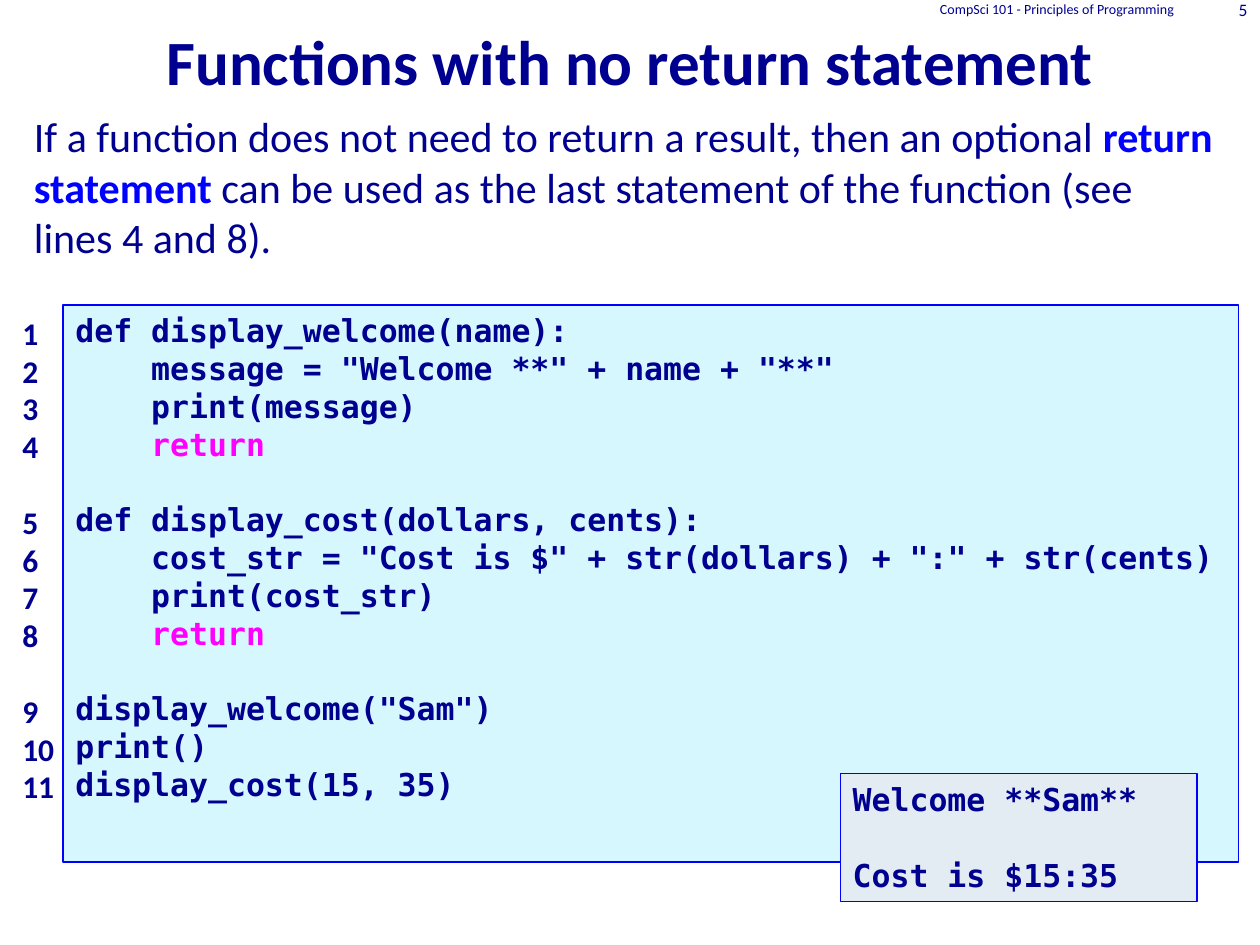
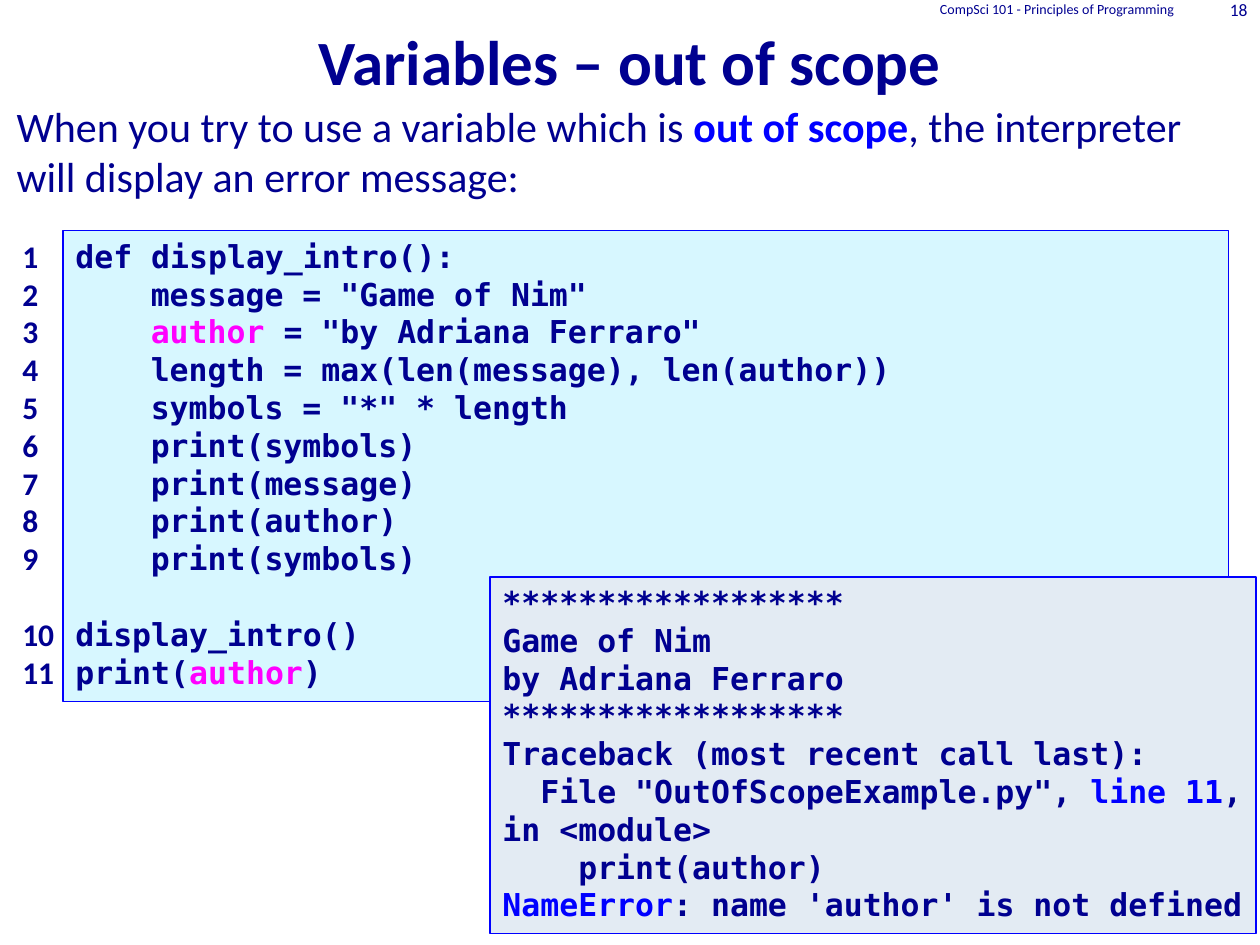
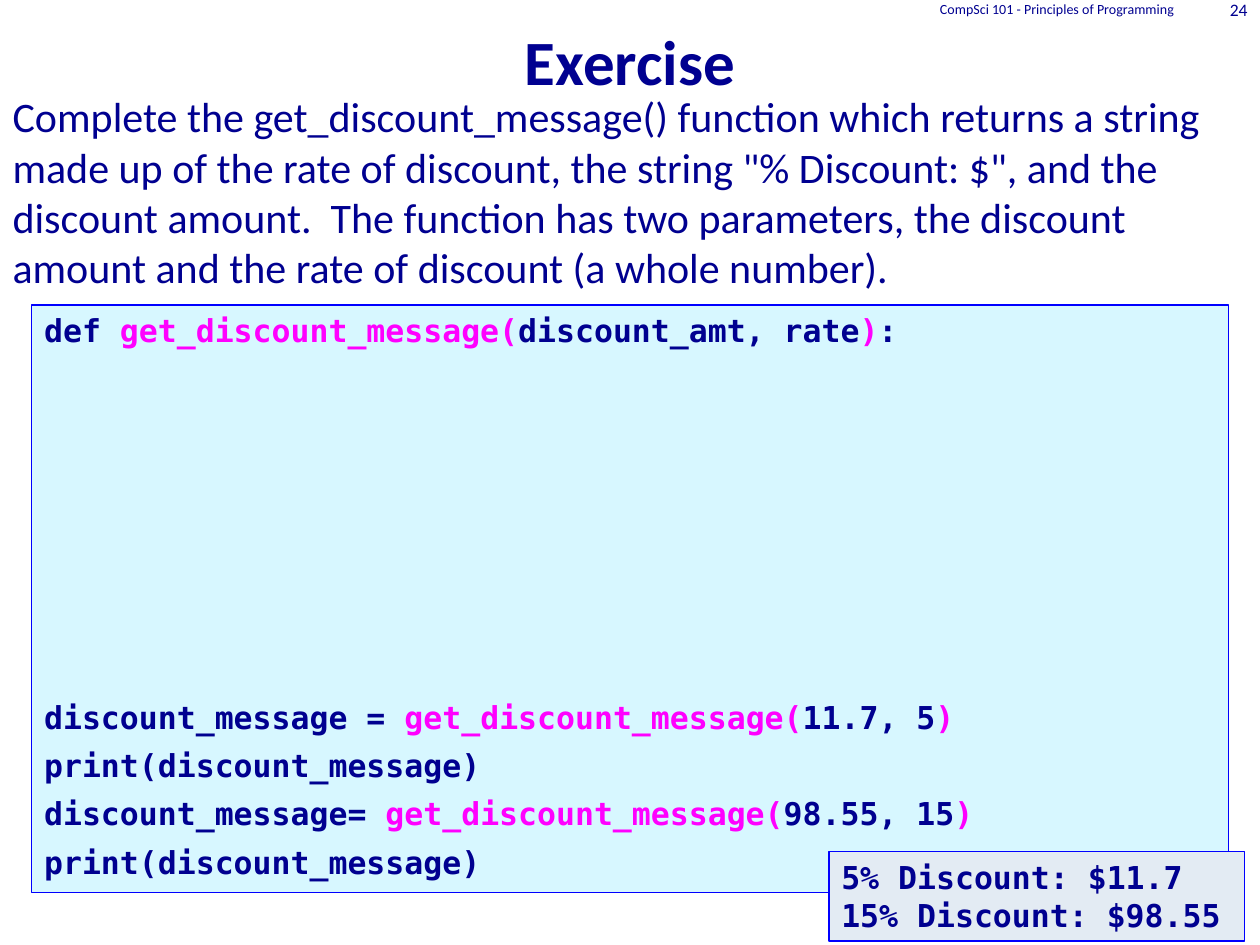
from pptx import Presentation
from pptx.dml.color import RGBColor
from pptx.enum.shapes import MSO_SHAPE
from pptx.enum.text import MSO_ANCHOR, MSO_AUTO_SIZE, PP_ALIGN
from pptx.oxml.ns import qn
from pptx.util import Cm, Pt

RECT = MSO_SHAPE.RECTANGLE
TOP, MIDDLE, BOTTOM = MSO_ANCHOR.TOP, MSO_ANCHOR.MIDDLE, MSO_ANCHOR.BOTTOM
LEFT, CENTER, RIGHT = PP_ALIGN.LEFT, PP_ALIGN.CENTER, PP_ALIGN.RIGHT
NO_FIT = MSO_AUTO_SIZE.NONE

# Shared colours and text formats
NAVY, BLUE, PINK = "000090", "0000FF", "FF00FF"
CODE_FILL, OUTPUT_FILL = "D7F7FF", "E3EBF3"
TITLE = dict(name="Calibri", size=Pt(36), bold=True)
BODY = dict(name="Calibri", size=Pt(24), bold=False)
CODE = dict(name="DejaVu Sans Mono", size=Pt(18), bold=True)
NUMBERS = dict(name="Calibri", size=Pt(18), bold=True)
HEADER = dict(name="Calibri", size=Pt(8), bold=False)
PAGE = dict(name="Calibri", size=Pt(10), bold=False)
LINE_PITCH = 21.6  # points taken by one 18 pt line
CODE_TAB = Cm(1.52)


def rgb(color):
    return RGBColor.from_string(color)


def place(shape, box):
    for name, value in zip(("left", "top", "width", "height"), box):
        setattr(shape, name, Cm(value))


def add_run(p, text, fmt, color=NAVY, **extra):
    r = p.add_run()
    r.text = text
    for name, value in {**fmt, **extra}.items():
        setattr(r.font, name, value)
    r.font.color.rgb = rgb(color)


def fill_text(shape, lines, fmt, anchor=TOP, align=LEFT, before=0, tab=None):
    """A line is a string or a list of strings and (text, colour) pairs.

    An empty string leaves a gap of one line above the next paragraph.
    """
    tf = shape.text_frame
    tf.word_wrap, tf.auto_size, tf.vertical_anchor = True, NO_FIT, anchor
    p, gap = None, 0
    for line in lines:
        if not line:
            gap += LINE_PITCH + before
            continue
        first = p is None
        p = tf.paragraphs[0] if first else tf.add_paragraph()
        p.alignment = align
        p.space_before = Pt(0 if first else before + gap)
        gap = 0
        if tab:
            tabs = p._p.get_or_add_pPr().makeelement(qn("a:tabLst"), {})
            p._p.get_or_add_pPr().append(tabs)
            tabs.append(tabs.makeelement(qn("a:tab"), {"pos": str(tab), "algn": "l"}))
        for part in [line] if isinstance(line, str) else line:
            text, color = (part, NAVY) if isinstance(part, str) else part
            add_run(p, text, fmt, color)


def add_label(s, box, lines, fmt, **layout):
    label = s.shapes.add_textbox(*map(Cm, box))
    fill_text(label, lines, fmt, **layout)


def add_panel(s, box, fill, lines, **layout):
    panel = s.shapes.add_shape(RECT, *map(Cm, box))
    panel.shadow.inherit = False
    panel.fill.solid()
    panel.fill.fore_color.rgb = rgb(fill)
    panel.line.color.rgb = rgb(BLUE)
    panel.line.width = Pt(0.75)
    fill_text(panel, lines, CODE, **layout)


def add_slide(prs, title, page, body_box, body):
    """Title, introduction and header; blue bold words are (text, colour) pairs."""
    s = prs.slides.add_slide(prs.slide_layouts[1])
    place(s.shapes.title, (0, 0, 25.4, 2.11))
    fill_text(s.shapes.title, [title], TITLE, anchor=BOTTOM, align=CENTER)

    intro = s.placeholders[1]
    place(intro, body_box)
    tf = intro.text_frame
    tf.word_wrap, tf.auto_size = True, NO_FIT
    p = tf.paragraphs[0]
    p.space_before = Pt(0)
    pPr = p._p.get_or_add_pPr()
    pPr.set("marL", "0")
    pPr.set("indent", "0")
    pPr.append(pPr.makeelement(qn("a:buNone"), {}))
    for part in body:
        if isinstance(part, str):
            add_run(p, part, BODY)
        else:
            add_run(p, *part[:1], BODY, part[1], bold=True)

    add_label(s, (16.31, -0.03, 7.62, 0.43), ["CompSci 101 - Principles of Programming"],
              HEADER, anchor=MIDDLE, align=RIGHT)
    add_label(s, (23.93, -0.03, 1.47, 0.43), [str(page)], PAGE, anchor=MIDDLE, align=RIGHT)
    return s


def line_numbers(code):
    """Number the code lines, keeping the gaps."""
    count = 0
    numbers = []
    for line in code:
        count += bool(line)
        numbers.append(str(count) if line else "")
    return numbers


def no_return_slide(prs):
    s = add_slide(prs, "Functions with no return statement", 5, (0.43, 2.11, 24.33, 13.03), [
        "If a function does not need to return a result, then an optional ",
        ("return statement ", BLUE),
        "can be used as the last statement of the function (see lines 4 and 8)."])
    return_line = ["    ", ("return", PINK)]
    code = [
        "def display_welcome(name):",
        '    message = "Welcome **" + name + "**"',
        "    print(message)",
        return_line,
        "",
        "def display_cost(dollars, cents):",
        '    cost_str = "Cost is $" + str(dollars) + ":" + str(cents)',
        "    print(cost_str)",
        return_line,
        "",
        'display_welcome("Sam")',
        "print()",
        "display_cost(15, 35)",
    ]
    add_panel(s, (1.27, 6.15, 23.7, 11.23), CODE_FILL, code)
    add_panel(s, (16.94, 15.6, 7.19, 2.57), OUTPUT_FILL,
              ["Welcome **Sam**", "", "Cost is $15:35"])
    add_label(s, (0.2, 6.2, 2.74, 10.26), line_numbers(code), NUMBERS)


def scope_slide(prs):
    s = add_slide(prs, "Variables – out of scope", 18, (0.08, 1.9, 25.32, 13.03), [
        "When you try to use a variable which is ",
        ("out of scope", BLUE),
        ", the interpreter will display an error message:"])
    code = [
        "def display_intro():",
        '\tmessage = "Game of Nim"',
        ["\t", ("author ", PINK), '= "by Adriana Ferraro"'],
        "\tlength = max(len(message), len(author))",
        '\tsymbols = "*" * length',
        "\tprint(symbols)",
        "\tprint(message)",
        "\tprint(author)",
        "\tprint(symbols)",
        "",
        "display_intro()",
        ["print(", ("author", PINK), ")"],
    ]
    stars = "*" * 18
    output = [
        stars,
        "Game of Nim",
        "by Adriana Ferraro",
        stars,
        "Traceback (most recent call last):",
        ['  File "OutOfScopeExample.py", ', ("line 11", BLUE), ", in <module>"],
        "    print(author)",
        [("NameError", BLUE), ": name 'author' is not defined"],
    ]
    add_panel(s, (1.27, 4.65, 23.5, 9.5), CODE_FILL, code, tab=CODE_TAB)
    add_label(s, (0.2, 4.65, 4.24, 9.5), line_numbers(code), NUMBERS)
    add_panel(s, (9.88, 11.63, 15.44, 7.19), OUTPUT_FILL, output)


def exercise_slide(prs):
    s = add_slide(prs, "Exercise", 24, (0, 1.7, 25.4, 15.04), [
        "Complete the get_discount_message() function which returns a string made up of "
        'the rate of discount, the string "% Discount: $", and the discount amount.  '
        "The function has two parameters, the discount amount and the rate of discount "
        "(a whole number)."])
    name, close = ("get_discount_message(", PINK), (")", PINK)
    answer_space = [""] * 7
    show = "print(discount_message)"
    code = [
        ["def ", name, "discount_amt, rate", close, ":"],
        *answer_space,
        ["discount_message = ", name, "11.7, 5", close],
        show,
        ["discount_message= ", name, "98.55, 15", close],
        show,
    ]
    add_panel(s, (0.64, 6.15, 24.13, 11.84), CODE_FILL, code, before=6)
    add_panel(s, (16.71, 17.17, 8.38, 1.8), OUTPUT_FILL,
              ["5% Discount: $11.7", "15% Discount: $98.55"])


def main():
    prs = Presentation()
    prs.slide_width, prs.slide_height = Cm(25.4), Cm(19.05)
    no_return_slide(prs)
    scope_slide(prs)
    exercise_slide(prs)
    prs.save("out.pptx")


if __name__ == "__main__":
    main()
